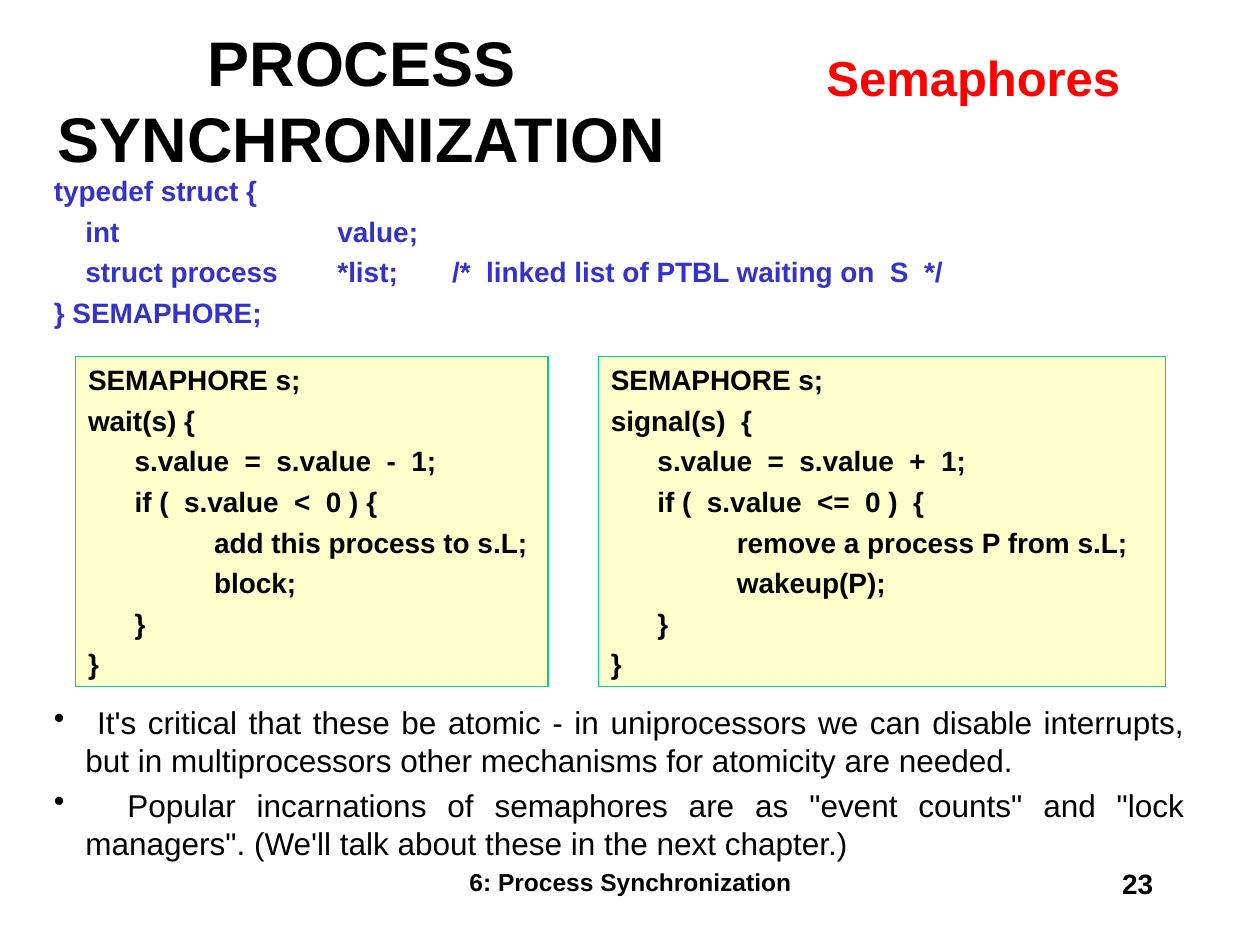
from dataclasses import dataclass

from pptx import Presentation
from pptx.dml.color import RGBColor
from pptx.enum.shapes import MSO_SHAPE
from pptx.enum.text import MSO_ANCHOR, PP_ALIGN
from pptx.oxml.ns import qn
from pptx.slide import Slide
from pptx.util import Inches, Pt
from lxml import etree

BLACK = RGBColor(0x00, 0x00, 0x00)
BLUE = RGBColor(0x33, 0x33, 0xCC)
RED = RGBColor(0xFF, 0x00, 0x00)
YELLOW = RGBColor(0xFF, 0xFF, 0x99)
GREEN = RGBColor(0x00, 0xCC, 0x99)
LEFT, CENTER = PP_ALIGN.LEFT, PP_ALIGN.CENTER
RIGHT, JUSTIFY = PP_ALIGN.RIGHT, PP_ALIGN.JUSTIFY
TOP, MIDDLE = MSO_ANCHOR.TOP, MSO_ANCHOR.MIDDLE
RECTANGLE = MSO_SHAPE.RECTANGLE

STRUCT_LINES = [
    "typedef struct {",
    "\tint\tvalue;",
    "\tstruct process\t*list;\t/*  linked list of PTBL waiting on  S  */",
    "} SEMAPHORE;",
]
WAIT_LINES = [
    "SEMAPHORE s;",
    "wait(s) {",
    "\ts.value  =  s.value  -  1;",
    "\tif (  s.value  <  0 ) {",
    "\t\tadd this process to s.L;",
    "\t\tblock;",
    "\t}",
    "}",
]
SIGNAL_LINES = [
    "SEMAPHORE s;",
    "signal(s)  {",
    "\ts.value  =  s.value  +  1;",
    "\tif (  s.value  <=  0 )  {",
    "\t\tremove a process P from s.L;",
    "\t\twakeup(P);",
    "\t}",
    "}",
]
NOTES = [
    " It's critical that these be atomic - in uniprocessors we can disable interrupts, "
    "but in multiprocessors other mechanisms for atomicity are needed.",
    "  Popular incarnations of semaphores are as \"event counts\" and \"lock managers\". "
    "(We'll talk about these in the next chapter.)",
]


@dataclass
class SlideWriter:
    """Draws styled text, code panels and bullet lists on one slide."""

    page: Slide
    font: str = "Arial"
    code_size: int = 16
    code_gap: float = 4
    note_size: int = 18
    note_gap: float = 4.5

    def fill_text(self, box, lines, size, color=BLACK, bold=True, align=LEFT,
                  gap=0, anchor=TOP, wrap=True):
        frame = box.text_frame
        frame.word_wrap = wrap
        frame.vertical_anchor = anchor
        frame.text = "\n".join(lines)
        for para in frame.paragraphs:
            para.alignment = align
            para.space_before = Pt(gap)
            para.font.name = self.font
            para.font.size = Pt(size)
            para.font.bold = bold
            para.font.color.rgb = color
        return frame.paragraphs

    def text(self, place, lines, size, **style):
        box = self.page.shapes.add_textbox(*map(Inches, place))
        return self.fill_text(box, lines, size, **style)

    def code(self, box, lines, stops, color=BLACK):
        paras = self.fill_text(box, lines, self.code_size, color, gap=self.code_gap)
        for para in paras:
            tabs = etree.SubElement(para._p.get_or_add_pPr(), qn("a:tabLst"))
            for stop in stops:
                etree.SubElement(tabs, qn("a:tab"), pos=str(Inches(stop)), algn="l")
            properties = para._p.pPr
            properties.insert(properties.index(properties.find(qn("a:defRPr"))), tabs)

    def struct(self, place, lines):
        box = self.page.shapes.add_textbox(*map(Inches, place))
        self.code(box, lines, (0.25, 2.25, 3.16), BLUE)

    def panel(self, place, lines):
        box = self.page.shapes.add_shape(RECTANGLE, *map(Inches, place))
        box.shadow.inherit = False
        box.fill.solid()
        box.fill.fore_color.rgb = YELLOW
        tint = box._element.spPr.find(qn("a:solidFill"))[0]
        etree.SubElement(tint, qn("a:alpha"), val="50000")
        box.line.color.rgb = GREEN
        box.line.width = Pt(0.75)
        self.code(box, lines, (0.37, 1))

    def bullets(self, place, lines):
        paras = self.text(place, lines, self.note_size, bold=False,
                          align=JUSTIFY, gap=self.note_gap)
        for para in paras:
            properties = para._p.pPr
            properties.set("marL", str(Inches(0.25)))
            properties.set("indent", str(Inches(-0.25)))
            bullet = etree.SubElement(properties, qn("a:buChar"), char="•")
            properties.insert(properties.index(properties.find(qn("a:defRPr"))), bullet)


def main():
    deck = Presentation()
    deck.slide_width, deck.slide_height = Inches(10), Inches(7.5)
    writer = SlideWriter(deck.slides.add_slide(deck.slide_layouts[6]))

    writer.struct((0.33, 1.33, 9.17, 1.4), STRUCT_LINES)
    writer.bullets((0.33, 5.53, 9.17, 1.3), NOTES)
    writer.panel((0.6, 2.83, 3.75, 2.62), WAIT_LINES)
    writer.panel((4.75, 2.83, 4.5, 2.62), SIGNAL_LINES)
    writer.text((0.33, 0.33, 5.08, 0.92), ["PROCESS SYNCHRONIZATION"], 36,
                align=CENTER, anchor=MIDDLE)
    writer.text((6.46, 0.33, 2.53, 0.57), ["Semaphores"], 28, color=RED,
                align=CENTER, gap=7, wrap=False)
    writer.text((3.42, 6.83, 3.17, 0.5), ["6: Process Synchronization"], 14, align=CENTER)
    writer.text((7.17, 6.83, 2.08, 0.5), ["23"], 16, align=RIGHT)

    deck.save("out.pptx")


if __name__ == "__main__":
    main()
